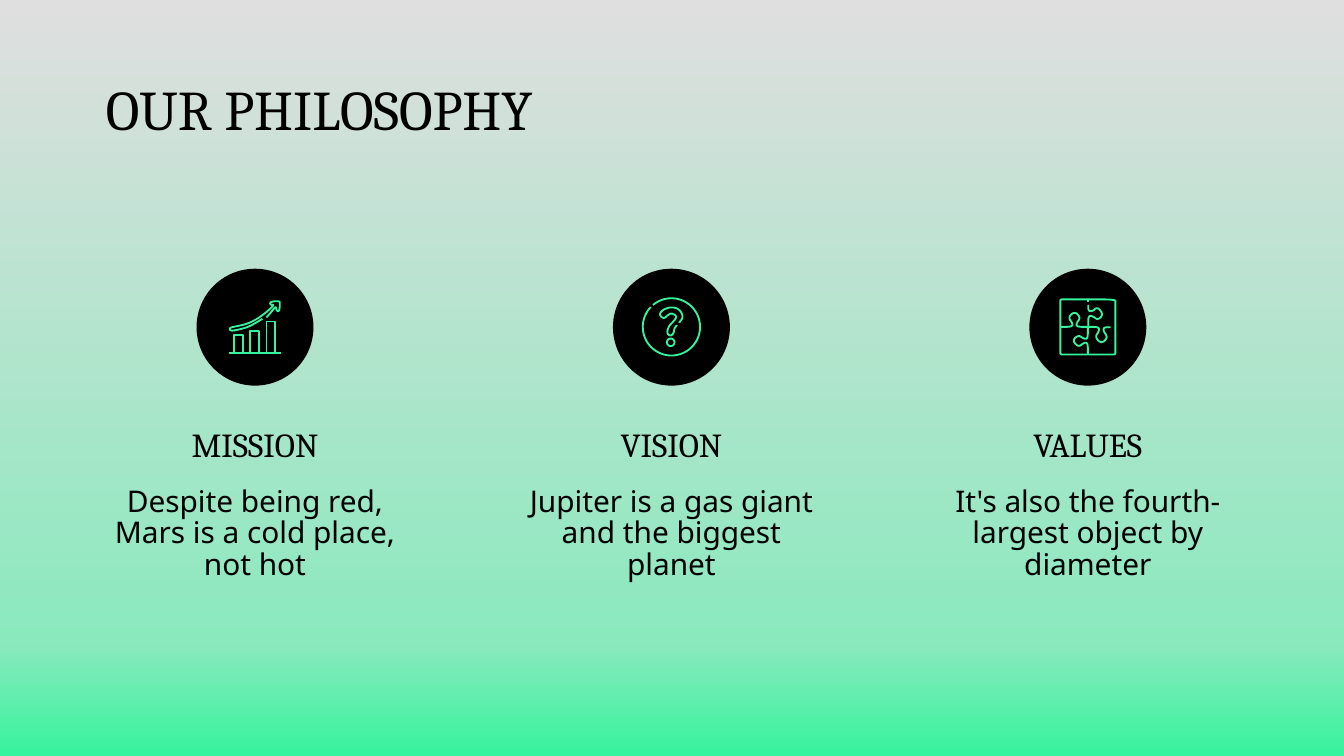
import copy
import math

import pptx
import pptx.dml.color
import pptx.enum.shapes
import pptx.enum.text
import pptx.util

BLACK, GREEN = "000000", "36F39D"
SERIF, SANS = "Cambria", "Noto Sans"
LEFT, TOP, WIDTH, PITCH = 2, 6.18, 5.64, 7.87
CIRCLE, CIRCLE_TOP = 2.21, 5.08
BACKGROUND = [(0, "DFDFDF"), (0.85, "8BE9BE"), (1, GREEN)]


def color(value):
    return pptx.dml.color.RGBColor.from_string(value)


def rounded(points, rounds=3):
    for _ in range(rounds):
        cut = [points[0]]
        for (ax, ay), (bx, by) in zip(points, points[1:]):
            cut += [(ax + (bx - ax) * part, ay + (by - ay) * part)
                    for part in (0.25, 0.75)]
        points = cut + [points[-1]]
    return points


def arc(x, y, radius, start=0, sweep=360):
    angles = [math.radians(start + sweep * step / 72) for step in range(73)]
    return [(x + radius * math.cos(angle), y + radius * math.sin(angle))
            for angle in angles]


def bar(left, right, top):
    return [(left, 19.5), (left, top), (right, top), (right, 19.5)]


GROWTH = [
    [(-19.5, 19.5), (19.5, 19.5)],
    bar(-15.3, -9, 6), bar(-3.5, 3, 3), bar(8.5, 15, -4),
    rounded([(5.5, -6), (0.5, -3), (-5, 0), (-12, 2), (-18, 3), (-19, 1.5),
             (-18, 0.3), (-12, -0.8), (-6, -2.3), (0, -5), (7, -9.7),
             (14.5, -16.5), (12, -16.3), (11, -17.7), (12.3, -18.9),
             (18, -19.3), (18.6, -18), (18.2, -12.5), (17, -11.5),
             (16, -12.5), (15.5, -15.5), (12, -11), (8.5, -7)]),
]
QUESTION = [
    arc(0, 0, 21.3, 230, 354),
    arc(-0.5, 11.5, 2.8),
    rounded([(5.7, -3), (9, -7.5), (6, -13.2), (0, -15), (-6.5, -12.8),
             (-9.2, -9), (-5.7, -6), (-3, -8.5), (0, -10.5), (4.5, -7.7),
             (0.5, -3), (-2, -0.5), (-3.5, 4.5), (-0.7, 7), (1.8, 4.5),
             (2, 1.5), (4, -1.3)]),
]
PUZZLE = [
    rounded([(0, -20.5), (20.5, -20.5), (20.5, -18), (20.5, 18),
             (20.5, 20.5), (18, 20.5), (-18, 20.5), (-20.5, 20.5),
             (-20.5, 18), (-20.5, -18), (-20.5, -20.5), (-18, -20.5),
             (0, -20.5)]),
    [(0.3, -20.5), (0.3, -18.8)],
    rounded([(0.3, -16.5), (0.3, -12), (3.3, -11.5), (7, -15), (11.5, -9.5),
             (7.5, -5), (3.5, -8.2), (0.3, -8.2), (0.3, 0)]),
    rounded([(0, 0), (0, 8.8), (-3, 8.8), (-7, 6), (-11.5, 10), (-7, 15),
             (-3.3, 12), (0, 11.5), (0, 20.5)]),
    rounded([(-20.5, 0), (-12, 0), (-11.2, -2.5), (-14.7, -7), (-10, -11.5),
             (-5.3, -7), (-8.7, -2.5), (-8, 0), (0, 0)]),
    rounded([(0, 0), (8, 0), (8.5, 3), (5.3, 7.5), (10, 12.5), (15, 8),
             (11.5, 3), (12, 0.3), (17, 0.3)]),
]
COLUMNS = [
    ("MISSION", "Despite being red, Mars is a cold place, not hot", GROWTH),
    ("VISION", "Jupiter is a gas giant and the biggest planet", QUESTION),
    ("VALUES", "It's also the fourth-largest object by diameter", PUZZLE),
]


class Page:
    """Draws styled elements on the current slide."""

    def __init__(self, deck):
        self.slide = deck.slides.add_slide(deck.slide_layouts[5])

    def background(self, stops):
        fill = self.slide.background.fill
        fill.gradient()
        fill.gradient_angle = 270
        stop_list = self.slide.element.xpath(".//a:gsLst")[0]
        stop_list.append(copy.deepcopy(stop_list[0]))
        for stop, (position, value) in zip(fill.gradient_stops, stops):
            stop.position = position
            stop.color.rgb = color(value)

    def set_text(self, box, text, font, size, align, spacing=1):
        frame = box.text_frame
        frame.word_wrap = True
        frame.auto_size = pptx.enum.text.MSO_AUTO_SIZE.NONE
        frame.vertical_anchor = pptx.enum.text.MSO_ANCHOR.MIDDLE
        frame.margin_left = frame.margin_right = 0
        frame.margin_top = frame.margin_bottom = 0
        para = frame.paragraphs[0]
        para.alignment = align
        para.line_spacing = spacing
        span = para.add_run()
        span.text = text
        span.font.name = font
        span.font.size = pptx.util.Pt(size)
        span.font.color.rgb = color(BLACK)

    def title(self, text, *place):
        box = self.slide.shapes.title
        box.left, box.top, box.width, box.height = map(pptx.util.Cm, place)
        self.set_text(box, text, SERIF, 30, pptx.enum.text.PP_ALIGN.LEFT)

    def label(self, text, font, size, spacing, *place):
        box = self.slide.shapes.add_textbox(*map(pptx.util.Cm, place))
        self.set_text(box, text, font, size,
                      pptx.enum.text.PP_ALIGN.CENTER, spacing)

    def circle(self, left, top, size):
        disc = self.slide.shapes.add_shape(
            pptx.enum.shapes.MSO_SHAPE.OVAL,
            *map(pptx.util.Cm, (left, top, size, size)))
        disc.shadow.inherit = False
        disc.fill.solid()
        disc.fill.fore_color.rgb = color(BLACK)
        disc.line.fill.background()

    def icon(self, strokes, x, y):
        for stroke in strokes:
            points = [(100 * px, 100 * py) for px, py in stroke]
            builder = self.slide.shapes.build_freeform(
                *points[0], scale=pptx.util.Cm(0.0254) / 100)
            builder.add_line_segments(points[1:], close=False)
            outline = builder.convert_to_shape(pptx.util.Cm(x), pptx.util.Cm(y))
            outline.shadow.inherit = False
            outline.fill.background()
            outline.line.color.rgb = color(GREEN)
            outline.line.width = pptx.util.Pt(1)


def main():
    deck = pptx.Presentation()
    deck.slide_width = pptx.util.Cm(25.4)
    deck.slide_height = pptx.util.Cm(14.29)
    page = Page(deck)
    page.background(BACKGROUND)
    page.title("OUR PHILOSOPHY", LEFT, 1.24, 21.41, 1.6)
    for index, (heading, text, strokes) in enumerate(COLUMNS):
        left = LEFT + index * PITCH
        middle = left + WIDTH / 2
        page.label(heading, SERIF, 18, 1, left, 7.75, WIDTH, 1.3)
        page.label(text, SANS, 16, 0.87, left, 9.04, WIDTH, 2.13)
        page.circle(middle - CIRCLE / 2, CIRCLE_TOP, CIRCLE)
        page.icon(strokes, middle, TOP)
    deck.save("out.pptx")


if __name__ == "__main__":
    main()
